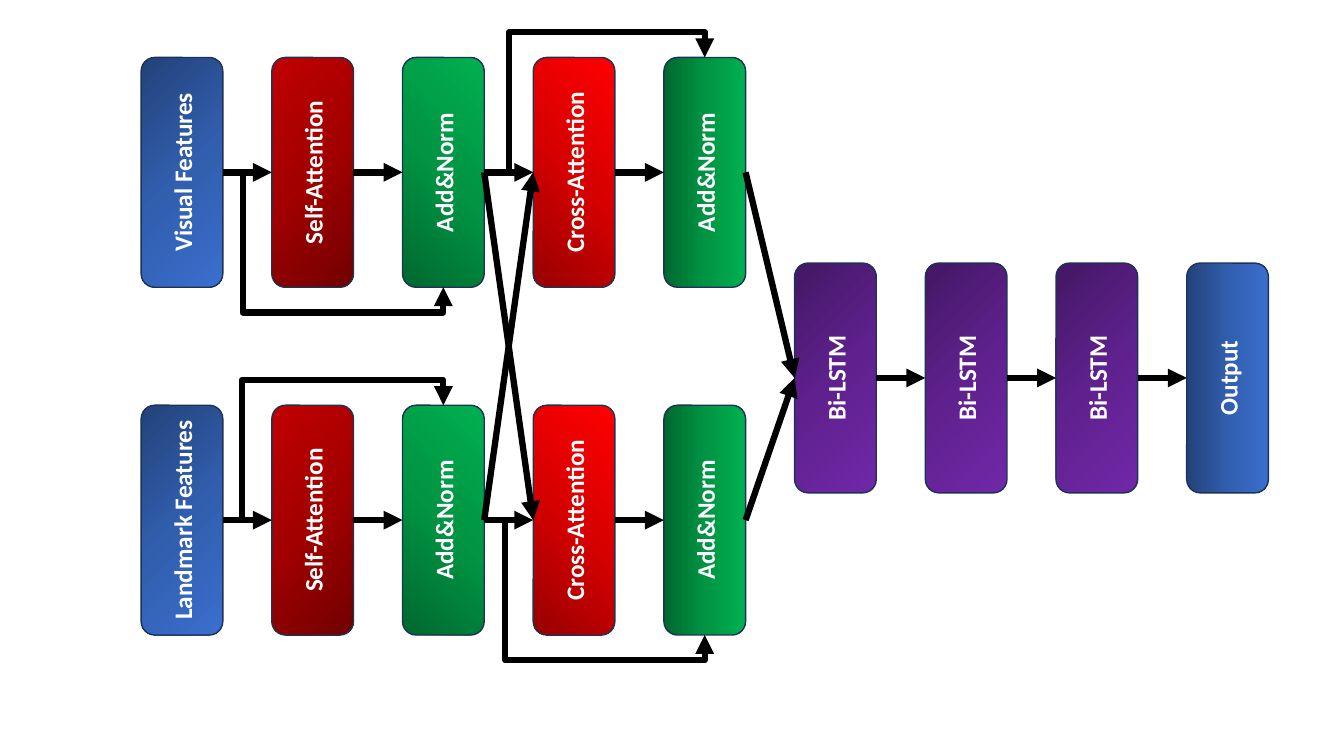
from pptx import Presentation
from pptx.dml.color import RGBColor
from pptx.enum import shapes, text
from pptx.oxml import parse_xml
from pptx.oxml.ns import nsdecls, qn
from pptx.util import Inches, Pt

BLACK = RGBColor(0x00, 0x00, 0x00)
WHITE = RGBColor(0xFF, 0xFF, 0xFF)
OUTLINE = RGBColor(0x1E, 0x32, 0x56)
BLUES = [RGBColor(0x23, 0x42, 0x7A), RGBColor(0x31, 0x5E, 0xAD), RGBColor(0x3A, 0x6F, 0xCE)]
DARK_REDS = [RGBColor(0x72, 0x00, 0x00), RGBColor(0xA2, 0x00, 0x00), RGBColor(0xC0, 0x00, 0x00)]
REDS = [RGBColor(0x97, 0x00, 0x00), RGBColor(0xD7, 0x00, 0x00), RGBColor(0xFF, 0x00, 0x00)]
GREENS = [RGBColor(0x00, 0x68, 0x2F), RGBColor(0x00, 0x94, 0x43), RGBColor(0x00, 0xB0, 0x50)]
PURPLES = [RGBColor(0x43, 0x17, 0x64), RGBColor(0x5F, 0x21, 0x8E), RGBColor(0x71, 0x28, 0xA8)]

BLOCK_WIDTH, BLOCK_HEIGHT = 0.81, 2.28
LEFT, RIGHT = 1.4, 11.77
PITCH = (RIGHT - LEFT) / 8
LOOP_RISE = 0.25
TOP_SIDE, LEFT_SIDE, BOTTOM_SIDE, RIGHT_SIDE = range(4)

STREAM_BLOCKS = [
    ("Self-Attention", DARK_REDS, "bottom right"),
    ("Add&Norm", GREENS, 315),
    ("Cross-Attention", REDS, "bottom left"),
    ("Add&Norm", GREENS, 0),
]
DECODER_BLOCKS = [("Bi-LSTM", PURPLES, "top left")] * 3 + [("Output", BLUES, 0)]
FOCUS = {
    "bottom right": 'l="100000" t="100000"',
    "bottom left": 't="100000" r="100000"',
    "top left": 'r="100000" b="100000"',
}


def fill_gradient(shape, colors, direction):
    """Fill a shape with evenly spaced colours, by angle or from a corner."""
    stops = "".join(
        f'<a:gs pos="{index * 50000}"><a:srgbClr val="{color}"/></a:gs>'
        for index, color in enumerate(colors)
    )
    if direction in FOCUS:
        shade = f'<a:path path="circle"><a:fillToRect {FOCUS[direction]}/></a:path>'
    else:
        shade = f'<a:lin ang="{direction * 60000}" scaled="1"/>'
    shape.fill.background()
    properties = shape.element.spPr
    gradient = parse_xml(
        f'<a:gradFill {nsdecls("a")} rotWithShape="1"><a:gsLst>{stops}</a:gsLst>{shade}</a:gradFill>'
    )
    properties.replace(properties.find(qn("a:noFill")), gradient)


def draw_block(slide, left, top, label, colors, direction):
    """Draw one rounded block with its label reading upwards."""
    block = slide.shapes.add_shape(
        shapes.MSO_SHAPE.ROUNDED_RECTANGLE,
        Inches(left), Inches(top), Inches(BLOCK_WIDTH), Inches(BLOCK_HEIGHT),
    )
    block.shadow.inherit = False
    fill_gradient(block, colors, direction)
    block.line.color.rgb = OUTLINE
    block.line.width = Pt(1)
    frame = block.text_frame
    frame.text = label
    frame.vertical_anchor = text.MSO_ANCHOR.MIDDLE
    frame._txBody.bodyPr.set("vert", "vert270")
    paragraph = frame.paragraphs[0]
    paragraph.alignment = text.PP_ALIGN.CENTER
    font = paragraph.runs[0].font
    font.name, font.size, font.bold = "Calibri", Pt(18), True
    font.color.rgb = WHITE
    return block


def join(slide, source, target, side=LEFT_SIDE, kind=shapes.MSO_CONNECTOR.STRAIGHT):
    """Draw an arrow from the right of one block to a side of another."""
    arrow = slide.shapes.add_connector(kind, 0, 0, 0, 0)
    arrow.begin_connect(source, RIGHT_SIDE)
    arrow.end_connect(target, side)
    arrow.line.color.rgb = BLACK
    arrow.line.width = Pt(4.5)
    arrow.line._get_or_add_ln().append(parse_xml(f'<a:tailEnd {nsdecls("a")} type="triangle"/>'))
    arrow.element.spPr.append(parse_xml(f'<a:effectLst {nsdecls("a")}/>'))
    return arrow


def draw_loop(slide, source, target, side, offset):
    """Draw a residual arrow that leaves after an offset and goes round to a side."""
    loop = join(slide, source, target, side, shapes.MSO_CONNECTOR.ELBOW)
    ratios = Inches(offset) / loop.width, 1 + Inches(LOOP_RISE) / loop.height
    guides = "".join(
        f'<a:gd name="adj{number}" fmla="val {round(ratio * 100000)}"/>'
        for number, ratio in enumerate(ratios, 1)
    )
    properties = loop.element.spPr
    geometry = parse_xml(
        f'<a:prstGeom {nsdecls("a")} prst="bentConnector4"><a:avLst>{guides}</a:avLst></a:prstGeom>'
    )
    properties.replace(properties.find(qn("a:prstGeom")), geometry)


def draw_chain(slide, left, top, blocks):
    """Draw a row of blocks, each joined to the next."""
    chain = [
        draw_block(slide, left + index * PITCH, top, *block)
        for index, block in enumerate(blocks)
    ]
    for source, target in zip(chain, chain[1:]):
        join(slide, source, target)
    return chain


def draw_stream(slide, left, top, features, loops):
    """Draw one feature stream with its two residual loops."""
    chain = draw_chain(slide, left, top, [(features, BLUES, 45)] + STREAM_BLOCKS)
    for start, (side, offset) in zip((0, 2), loops):
        draw_loop(slide, chain[start], chain[start + 2], side, offset)
    return chain


def draw_network(slide):
    """Draw both streams, their cross links and the shared decoder."""
    visual = draw_stream(
        slide, LEFT, 0.57, "Visual Features", [(BOTTOM_SIDE, 0.2), (TOP_SIDE, 0.25)]
    )
    landmark = draw_stream(
        slide, LEFT, 4.02, "Landmark Features", [(TOP_SIDE, 0.19), (BOTTOM_SIDE, 0.21)]
    )
    decoder = draw_chain(slide, LEFT + 5 * PITCH, 2.61, DECODER_BLOCKS)
    for stream, other in ((landmark, visual), (visual, landmark)):
        join(slide, stream[2], other[3])
        join(slide, stream[-1], decoder[0])


def main():
    """Build the slide and save it."""
    presentation = Presentation()
    presentation.slide_width, presentation.slide_height = Inches(13.33), Inches(7.5)
    slide = presentation.slides.add_slide(presentation.slide_layouts[6])
    draw_network(slide)
    presentation.save("out.pptx")


if __name__ == "__main__":
    main()
